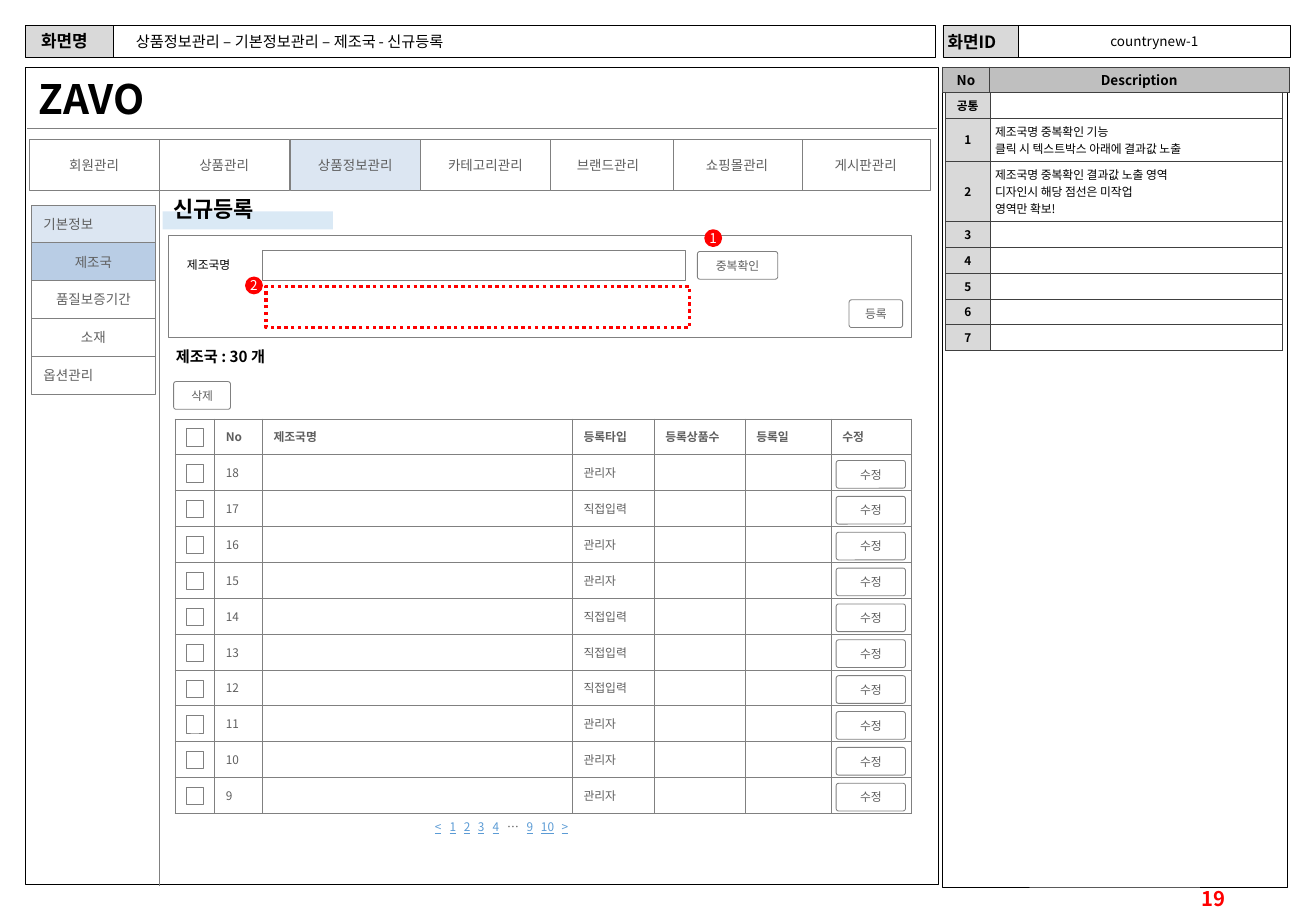
from lxml.etree import SubElement
from pptx import Presentation
from pptx.dml.color import RGBColor
from pptx.enum.dml import MSO_LINE
from pptx.enum.shapes import MSO_CONNECTOR, MSO_SHAPE as SHAPE
from pptx.enum.text import MSO_ANCHOR as ANCHOR, PP_ALIGN as ALIGN
from pptx.oxml.ns import qn
from pptx.util import Cm, Pt

FONT = "Noto Sans CJK KR"
HEX = {"black": "000000", "white": "FFFFFF", "text": "5F5F5F", "line": "808080",
       "dark": "404040", "head": "BFBFBF", "label": "D9D9D9", "pale": "DCE6F2",
       "active": "B9CDE5", "link": "5B9BD5", "red": "FF0000"}
RGB = {name: RGBColor.from_string(code) for name, code in HEX.items()}


def write(frame, text, size=8, color="text", bold=False, align=ALIGN.LEFT,
          anchor=ANCHOR.MIDDLE, side=0.25, edge=0.13, links=(), tabs=()):
    """Fill a text frame or cell; tabs are stops in cm, links are underlined words."""
    frame.margin_left = frame.margin_right = Cm(side)
    frame.margin_top = frame.margin_bottom = Cm(edge)
    frame.vertical_anchor = anchor
    body = getattr(frame, "text_frame", frame)
    body.word_wrap = True
    for i, line in enumerate(text.split("\n")):
        para = body.paragraphs[0] if i == 0 else body.add_paragraph()
        para.alignment = align
        if tabs:
            stops = SubElement(para._p.get_or_add_pPr(), qn("a:tabLst"))
            for stop in tabs:
                SubElement(stops, qn("a:tab"), pos=str(Cm(stop)), algn="l")
        if not line:
            SubElement(para._p, qn("a:endParaRPr"), sz=str(size * 100))
            continue
        words = line.split("\t")
        for j, word in enumerate(words):
            for part in ([word] if j == 0 else ["\t", word]):
                run = para.add_run()
                run.text = part
                font = run.font
                font.name, font.size, font.bold = FONT, Pt(size), bold
                font.underline = part in links
                font.color.rgb = RGB["link" if part in links else color]
                SubElement(run._r.get_or_add_rPr(), qn("a:ea"), typeface=FONT)


def box(at, text="", kind=SHAPE.RECTANGLE, fill=None, line="line", width=0.5, **style):
    """Add a shape at (left, top, width, height) in cm."""
    shape = slide.shapes.add_shape(kind, *map(Cm, at))
    shape.shadow.inherit = False
    if fill:
        shape.fill.solid()
        shape.fill.fore_color.rgb = RGB[fill]
    else:
        shape.fill.background()
    if line:
        shape.line.color.rgb = RGB[line]
        shape.line.width = Pt(width)
    else:
        shape.line.fill.background()
    if kind == SHAPE.ROUNDED_RECTANGLE:
        shape.adjustments[0] = 0.09
    if text:
        write(shape.text_frame, text, **{"align": ALIGN.CENTER, **style})
    return shape


deck = Presentation()
deck.slide_width, deck.slide_height = Cm(27.51), Cm(19.05)
slide = deck.slides.add_slide(deck.slide_layouts[5])

# Page frames and title
title = slide.shapes.title
title.left, title.top, title.width, title.height = Cm(2.59), Cm(0.58), Cm(16.76), Cm(0.58)
write(title.text_frame, "상품정보관리 – 기본정보관리 – 제조국 - 신규등록",
      size=9, color="black", edge=0)
for at, fill in [((0.53, 0.53, 1.83, 0.66), "label"), ((2.36, 0.53, 17.2, 0.66), None),
                 ((0.53, 1.4, 19.08, 17.09), "white"), ((19.71, 0.53, 1.57, 0.66), "label"),
                 ((19.69, 1.4, 7.21, 17.15), "white")]:
    box(at, fill=fill, line="black", width=0.25)
box((21.29, 0.53, 5.69, 0.66), "countrynew-1", fill="white", line="black", width=0.25,
    color="black", edge=0)

# Top tabs and side menu
tabs = [("회원관리", 0.61), ("상품관리", 3.33), ("상품정보관리", 6.07), ("카테고리관리", 8.79),
        ("브랜드관리", 11.35), ("쇼핑몰관리", 14.05), ("게시판관리", 16.74)]
for name, left in reversed(tabs):
    box((left, 2.92, 2.72, 1.07), name, fill="pale" if name == "상품정보관리" else "white")

menu = [("기본정보", "pale", ALIGN.LEFT), ("제조국", "active", ALIGN.CENTER),
        ("품질보증기간", None, ALIGN.CENTER), ("소재", None, ALIGN.CENTER),
        ("옵션관리", None, ALIGN.LEFT)]
for i, (name, fill, align) in enumerate(menu):
    box((0.66, 4.29 + 0.79 * i, 2.59, 0.79), name, fill=fill, align=align)

for ends in [(0.56, 2.69, 19.58, 2.69), (3.33, 3.99, 3.33, 18.52)]:
    rule = slide.shapes.add_connector(MSO_CONNECTOR.STRAIGHT, *map(Cm, ends))
    rule.line.color.rgb = RGB["line"]
    rule.line.width = Pt(0.5)
    SubElement(rule._element.spPr, qn("a:effectLst"))

# Entry form
band = box((3.4, 4.42, 3.56, 0.38), fill="link", line=None)
tint = band._element.spPr.find(".//" + qn("a:srgbClr"))
SubElement(tint, qn("a:alpha"), val="22000")
box((3.53, 4.93, 15.52, 2.13), fill="white")
box((5.49, 5.23, 8.84, 0.64), fill="white")

# Tables
grid = [["", "No", "제조국명", "등록타입", "등록상품수", "등록일", "수정"]]
typed = {17, 14, 13, 12}
for no in range(18, 8, -1):
    grid.append(["", str(no), "", "직접입력" if no in typed else "관리자", "", "", ""])
notes = [["공통", ""],
         ["1", "제조국명 중복확인 기능\n클릭 시 텍스트박스 아래에 결과값 노출"],
         ["2", "제조국명 중복확인 결과값 노출 영역\n디자인시 해당 점선은 미작업\n영역만 확보!"]]
notes += [[str(no), ""] for no in range(3, 8)]
tables = [
    ("head", 19.71, 1.4, [0.97, 6.27], [0.54], [["No", "Description"]], "dark"),
    ("notes", 19.76, 1.93, [0.94, 6.1], [0.54, 0.91, 1.25] + [0.54] * 5, notes, "dark"),
    ("grid", 3.66, 8.76, [0.83, 1, 6.48, 1.71, 1.9, 1.8, 1.68], [0.75] * 11, grid, "line")]
for name, left, top, cols, rows, data, edge in tables:
    table = slide.shapes.add_table(len(rows), len(cols), Cm(left), Cm(top),
                                   Cm(sum(cols)), Cm(sum(rows))).table
    for c, width in enumerate(cols):
        table.columns[c].width = Cm(width)
    for r, height in enumerate(rows):
        table.rows[r].height = Cm(height)
        for c, text in enumerate(data[r]):
            cell = table.cell(r, c)
            if name == "grid":
                write(cell, text, size=7, bold=r == 0, side=0.23, edge=0.1)
            else:
                first = name == "head" or c == 0
                write(cell, text, size=8 if name == "head" else 7, color="black", bold=first,
                      align=ALIGN.CENTER if first else ALIGN.LEFT, side=0.1, edge=0.06)
            props = cell._tc.get_or_add_tcPr()
            for tag in ("a:lnL", "a:lnR", "a:lnT", "a:lnB"):
                ink = SubElement(SubElement(props, qn(tag), w=str(Pt(0.5))), qn("a:solidFill"))
                SubElement(ink, qn("a:srgbClr"), val=HEX[edge])
            if name == "grid":
                cell.fill.background()
            else:
                cell.fill.solid()
                shade = "head" if name == "head" else "label" if c == 0 else "white"
                cell.fill.fore_color.rgb = RGB[shade]

# Check boxes and buttons
for r in range(len(grid)):
    box((3.89, 8.97 + 0.75 * r, 0.36, 0.36), fill="white")
buttons = [("삭제", 3.63, 7.98, 1.19), ("등록", 17.75, 6.27, 1.12), ("중복확인", 14.58, 5.26, 1.68)]
buttons += [("수정", 17.48, 9.63 + 0.75 * r, 1.45) for r in range(10)]
for name, left, top, width in buttons:
    box((left, top, width, 0.58), name, kind=SHAPE.ROUNDED_RECTANGLE, fill="white",
        size=7, side=0, edge=0)

# Free text
bold = {"color": "black", "bold": True, "anchor": ANCHOR.TOP}
pages = ["<", "1", "2", "3", "4", "…", "9", "10", ">"]
for text, at, style in [
        ("화면명", (0.61, 0.51, 1.75, 0.69), {**bold, "size": 10}),
        ("화면ID", (19.56, 0.53, 2.59, 0.69), {**bold, "size": 10}),
        ("ZAVO", (0.56, 1.42, 3.68, 1.27), {**bold, "size": 24}),
        ("신규등록", (3.38, 3.96, 3.48, 0.81), {**bold, "size": 13}),
        ("제조국명", (3.66, 5.26, 1.8, 0.56), {**bold, "size": 7, "bold": False}),
        ("제조국 : 30 개", (3.43, 7.14, 5.11, 0.64), {**bold, "size": 9}),
        ("\t".join(pages), (8.89, 17.04, 3.68, 0.51),
         {"size": 7, "anchor": ANCHOR.TOP, "side": 0.2, "edge": 0.1,
          "links": [page for page in pages if page != "…"],
          "tabs": [0.31, 0.61, 0.9, 1.21, 1.51, 1.92, 2.22, 2.65]}),
        ("19", (24.41, 18.52, 1.45, 0.53),
         {"size": 12, "color": "red", "bold": True, "align": ALIGN.RIGHT, "edge": 0})]:
    write(slide.shapes.add_textbox(*map(Cm, at)).text_frame, text, **style)

# Red marks
area = box((5.56, 5.99, 8.86, 0.86), line="red", width=2)
area.line.dash_style = MSO_LINE.ROUND_DOT
for text, left, top in [("1", 14.76, 4.83), ("2", 5.16, 5.82)]:
    box((left, top, 0.3, 0.3), text, kind=SHAPE.OVAL, fill="red", line="red", width=2,
        color="white", side=0, edge=0)

deck.save("out.pptx")
